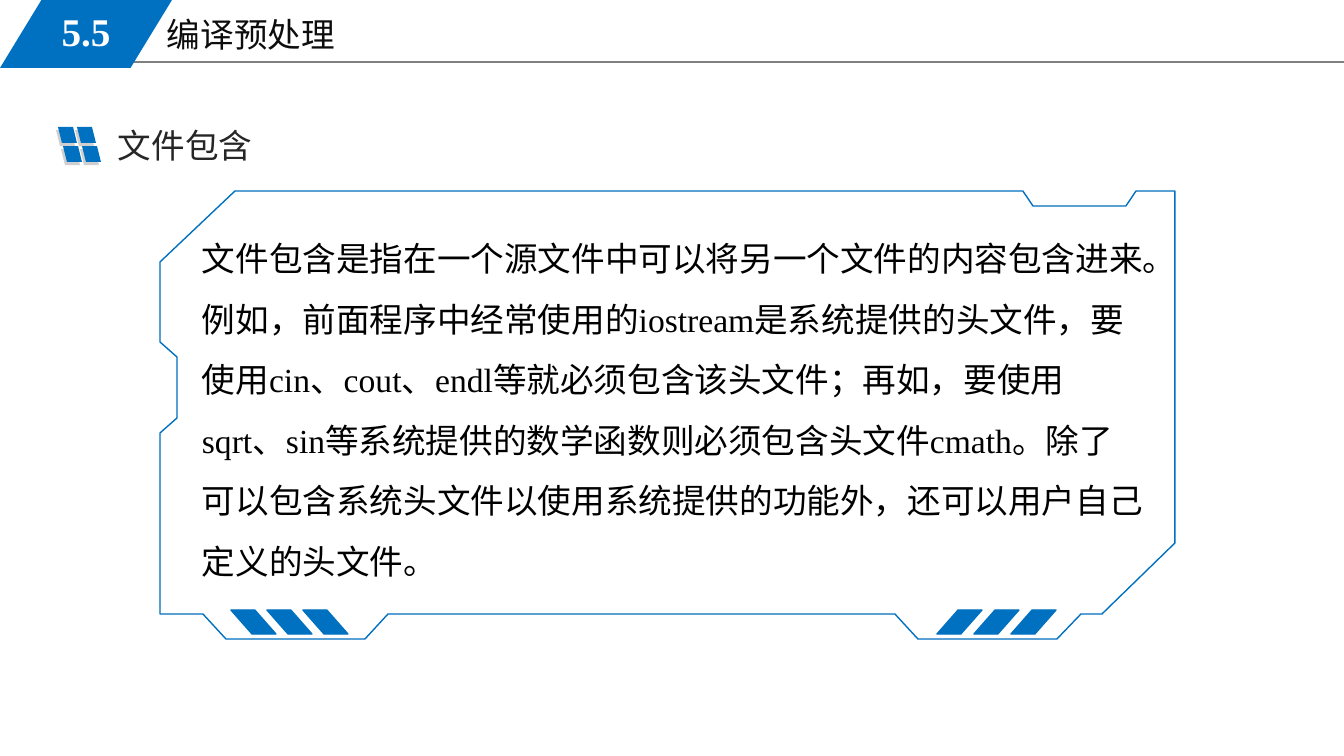
"""Build the slide on file inclusion in the chapter on preprocessing."""
from lxml import etree
from pptx import Presentation
from pptx.dml.color import RGBColor
from pptx.enum.shapes import MSO_CONNECTOR, MSO_SHAPE
from pptx.enum.text import MSO_ANCHOR, PP_ALIGN
from pptx.oxml.ns import qn
from pptx.util import Pt

PARALLELOGRAM = MSO_SHAPE.PARALLELOGRAM
STRAIGHT = MSO_CONNECTOR.STRAIGHT
TOP, MIDDLE = MSO_ANCHOR.TOP, MSO_ANCHOR.MIDDLE
LEFT, CENTER = PP_ALIGN.LEFT, PP_ALIGN.CENTER
PX = 914400 / 100.8
COLORS = {
    name: RGBColor.from_string(value)
    for name, value in {
        "blue": "0070C0", "shade": "D0CECE", "rule": "808080", "white": "FFFFFF",
        "title": "0D0D0D", "heading": "262626", "body": "000000",
    }.items()
}


def add_slant(left, top, width, height, color, slant=0.25, flipped=False):
    box = page.shapes.add_shape(
        PARALLELOGRAM, *(round(v * PX) for v in (left, top, width, height)))
    box.shadow.inherit = False
    box.adjustments[0] = slant
    box.fill.solid()
    box.fill.fore_color.rgb = COLORS[color]
    box.line.fill.background()
    if flipped:
        box._element.spPr.find(qn("a:xfrm")).set("flipH", "1")
    return box


def add_text(text, left, top, width, height, size, color,
             align=LEFT, anchor=TOP, bold=False, spacing=1.0):
    box = page.shapes.add_textbox(*(round(v * PX) for v in (left, top, width, height)))
    frame = box.text_frame
    frame.word_wrap = True
    frame.vertical_anchor = anchor
    para = frame.paragraphs[0]
    para.text = text
    para.alignment = align
    para.line_spacing = spacing
    para.font.name = "Times New Roman"
    para.font.size = Pt(size)
    para.font.bold = bold
    para.font.color.rgb = COLORS[color]


deck = Presentation()
deck.slide_width, deck.slide_height = round(1344 * PX), round(756 * PX)
page = deck.slides.add_slide(deck.slide_layouts[6])

rule = page.shapes.add_connector(
    STRAIGHT, *(round(v * PX) for v in (114, 62, 1344, 62)))
rule.line.color.rgb = COLORS["rule"]
rule.line.width = Pt(0.75)
etree.SubElement(rule._element.spPr, qn("a:effectLst"))

add_text("编译预处理", 157, 9, 572, 51, 24, "title")
add_slant(0, 0, 172, 68, "blue", slant=0.61)
add_text("5.5", 25, 2, 122, 58, 28, "white", align=CENTER, anchor=MIDDLE, bold=True)

for color, left, top in (("shade", 56, 130), ("blue", 58, 127)):
    for row in range(2):
        for column in range(2):
            add_slant(left + 19 * column + 5 * row, top + 19 * row, 19, 16,
                      color, flipped=True)
add_text("文件包含", 108, 120, 604, 50, 24, "heading")

add_text(
    "文件包含是指在一个源文件中可以将另一个文件的内容包含进来。"
    "例如，前面程序中经常使用的iostream是系统提供的头文件，"
    "要使用cin、cout、endl等就必须包含该头文件；"
    "再如，要使用sqrt、sin等系统提供的数学函数则必须包含头文件cmath。"
    "除了可以包含系统头文件以使用系统提供的功能外，还可以用户自己定义的头文件。",
    192, 213, 962, 412, 24, "body", spacing=1.5)

outline = [
    (918, 639), (1057, 639), (1081, 614), (1102, 614), (1175, 543), (1175, 191),
    (1136, 191), (1126, 206), (1033, 206), (1023, 191), (235, 191), (160, 262),
    (160, 342), (177, 357), (177, 418), (160, 433), (160, 614), (203, 614),
    (226, 639), (365, 639), (388, 614), (895, 614),
]
builder = page.shapes.build_freeform(*outline[0], scale=PX)
builder.add_line_segments(outline[1:], close=True)
border = builder.convert_to_shape()
border.shadow.inherit = False
border.fill.background()
border.line.color.rgb = COLORS["blue"]
border.line.width = Pt(1)

for start, step, flipped in ((937, 37, False), (231, 36, True)):
    for index in range(3):
        stripe = add_slant(start + step * index, 610, 45, 24, "blue", 0.88, flipped)
        stripe.line.color.rgb = COLORS["blue"]
        stripe.line.width = Pt(1)

deck.save("out.pptx")
